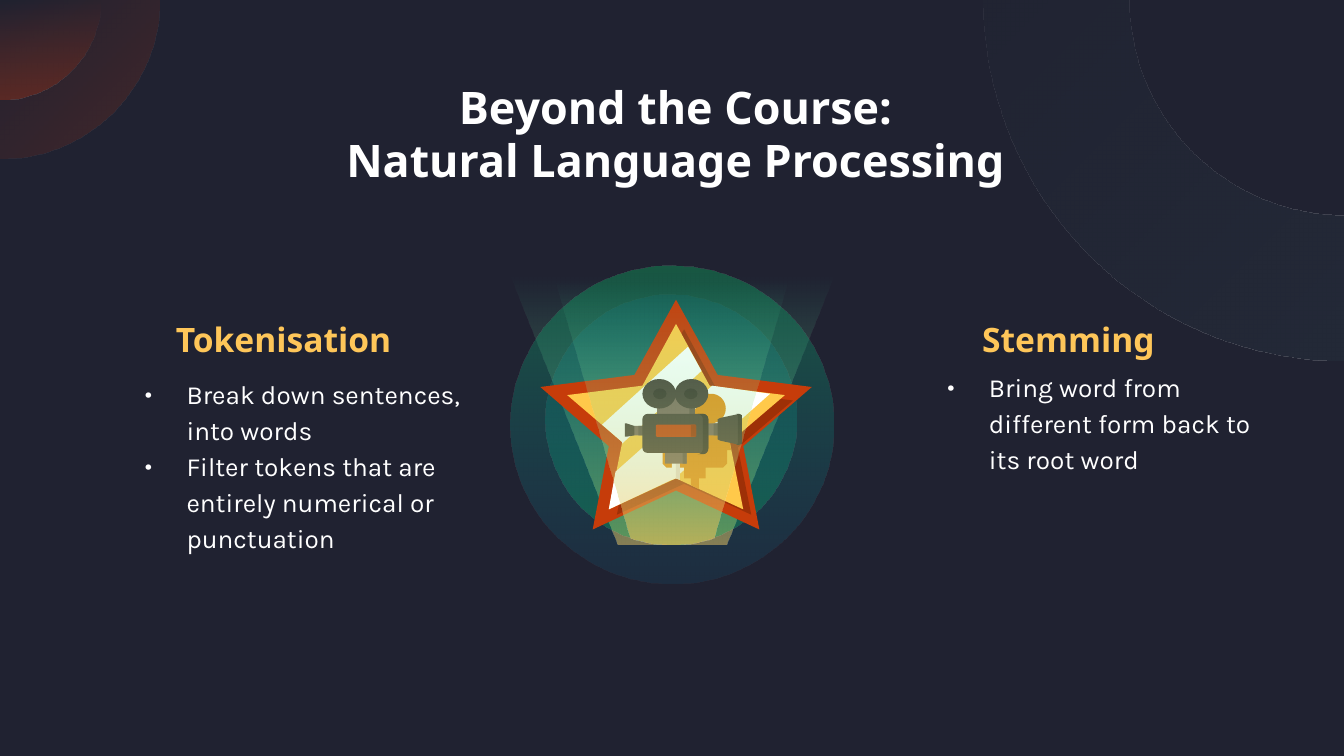
from dataclasses import dataclass
from math import cos, radians, sin

from lxml import etree
from pptx import Presentation
from pptx.dml.color import RGBColor
from pptx.enum.shapes import MSO_SHAPE
from pptx.enum.text import MSO_ANCHOR, PP_ALIGN
from pptx.oxml.ns import qn
from pptx.util import Inches, Pt

OVAL = MSO_SHAPE.OVAL
RECTANGLE = MSO_SHAPE.RECTANGLE
ROUNDED = MSO_SHAPE.ROUNDED_RECTANGLE
TOP = MSO_ANCHOR.TOP
CENTER = PP_ALIGN.CENTER
LEFT = PP_ALIGN.LEFT
WIDTH = Inches(10)
HEIGHT = WIDTH * 9 // 16
COLUMNS = 1000
ROWS = COLUMNS * 9 / 16


@dataclass(frozen=True)
class Theme:
    background: str = "202231"
    white: str = "FFFFFF"
    accent: str = "FEC659"
    ember: str = "9C3218"
    slate: str = "252C3A"
    mint: str = "4AFFC3"
    green: str = "0AC668"
    blue: str = "0A94C6"
    red: str = "C63C0A"
    rust: str = "9E3007"
    gold: str = "FFC94A"
    amber: str = "E68C14"
    pearl: str = "EBE2DF"
    taupe: str = "7A655E"
    taupe_shade: str = "63534D"
    brown: str = "473B37"
    brown_shade: str = "362C29"
    heading_font: str = "Noto Sans"
    body_font: str = "Karla"
    title_size: int = 24
    heading_size: int = 18
    body_size: int = 14


THEME = Theme()


@dataclass(frozen=True)
class Box:
    left: float
    top: float
    width: float
    height: float

    def inside(self, left, top, width, height):
        return Box(self.left + left, self.top + top, width, height)

    def point(self, column, row):
        return (round((self.left + column) * WIDTH / COLUMNS),
                round((self.top + row) * HEIGHT / ROWS))

    def frame(self):
        left, top = self.point(0, 0)
        right, bottom = self.point(self.width, self.height)
        return left, top, right - left, bottom - top


def color(value):
    return RGBColor.from_string(value)


def paint(shape, fill):
    shape.shadow.inherit = False
    shape.line.fill.background()
    if isinstance(fill, str):
        shape.fill.solid()
        shape.fill.fore_color.rgb = color(fill)
        return
    stops, angle = fill
    shape.fill.gradient()
    shape.fill.gradient_angle = angle
    for stop, (value, _) in zip(shape.fill.gradient_stops, stops):
        stop.color.rgb = color(value)
    gradient = shape.element.spPr.find(qn("a:gradFill"))
    for element, (_, opacity) in zip(gradient.iter(qn("a:srgbClr")), stops):
        etree.SubElement(element, qn("a:alpha")).set("val", str(opacity * 1000))


def arc(x, y, radius, start, end, steps=32):
    angles = [radians(start + (end - start) * step / steps) for step in range(steps + 1)]
    return [(x + radius * cos(angle), y + radius * sin(angle)) for angle in angles]


def add_outline(slide, box, points, fill):
    corners = [box.point(*point) for point in points]
    builder = slide.shapes.build_freeform(*corners[0], scale=1.0)
    builder.add_line_segments(corners[1:], close=True)
    paint(builder.convert_to_shape(), fill)


def add_preset(slide, box, preset, fill):
    shape = slide.shapes.add_shape(preset, *box.frame())
    if preset == ROUNDED:
        shape.adjustments[0] = 0.13
    paint(shape, fill)


def draw_corner_disc(slide, box, opacity, angle):
    points = [(0, 0)] + arc(0, 0, box.width, 0, 90)
    add_outline(slide, box, points, (((THEME.ember, opacity), (THEME.ember, 0)), angle))


def draw_corner_ring(slide, box, inner_radius):
    points = arc(box.width, 0, box.width, 180, 90) + arc(box.width, 0, inner_radius, 90, 180)
    add_outline(slide, box, points, (((THEME.slate, 75), (THEME.slate, 20)), 135))


def draw_star(slide, box):
    def mirrored(half):
        return half + [(202 - x, y) for x, y in reversed(half[1:-1])]

    rim = mirrored([(101, 0), (70, 56), (0, 65), (51, 109), (39, 171), (101, 142)])
    face = mirrored([(101, 18), (76, 64), (20, 71), (61, 106), (51, 156), (101, 133)])
    narrow_glare = [(110, 35), (46, 93), (61, 106), (61, 107), (120, 53)]
    wide_glare = [(128, 64), (56, 128), (51, 156), (100, 133), (171, 70)]
    add_outline(slide, box, rim, THEME.red)
    add_outline(slide, box.inside(6, 4, box.width, box.height), face, THEME.rust)
    add_outline(slide, box, face, THEME.gold)
    for glare in (narrow_glare, wide_glare):
        add_outline(slide, box, glare, THEME.white)


def draw_camera(slide, box):
    shadow = arc(103, 81, 11, 100, 360) + arc(127, 81, 11, 180, 440) + [
        (129, 96), (136, 96), (139, 99), (139, 103), (145, 103), (141, 106), (142, 112),
        (139, 112), (139, 122), (136, 125), (123, 125), (123, 133), (118, 133), (118, 141),
        (112, 138), (112, 133), (107, 133), (107, 125), (94, 125), (91, 122), (91, 113),
        (85, 112), (77, 113), (77, 103), (85, 104), (91, 104), (91, 99), (94, 96), (101, 96)]
    parts = [
        ([(151, 98), (148, 98), (146, 100), (146, 102)], THEME.amber),
        (shadow, THEME.amber),
        ([(98, 120), (98, 134), (101, 133), (104, 134), (104, 120)], THEME.white),
        ([(101, 120), (101, 133), (104, 134), (104, 120)], THEME.pearl),
        ((RECTANGLE, 93, 113, 16, 9), THEME.taupe),
        ((RECTANGLE, 106, 113, 3, 9), THEME.taupe_shade),
        ((RECTANGLE, 123, 92, 12, 9), THEME.taupe),
        ((RECTANGLE, 129, 92, 6, 9), THEME.taupe_shade),
        ((RECTANGLE, 68, 94, 12, 7), THEME.taupe),
        ([(63, 92), (64, 92), (70, 94), (70, 101), (64, 102), (63, 102)], THEME.brown),
        ((RECTANGLE, 73, 94, 7, 7), THEME.taupe_shade),
        ([(132, 89), (134, 88), (148, 85), (150, 86), (150, 107), (148, 108), (134, 105),
          (132, 104)], THEME.brown),
        ([(146, 85), (148, 85), (150, 86), (150, 107), (148, 108), (146, 108), (147, 107),
          (147, 86)], THEME.brown_shade),
        ((RECTANGLE, 87, 71, 28, 16), THEME.taupe),
        ((RECTANGLE, 111, 71, 4, 14), THEME.taupe_shade),
        ((ROUNDED, 76, 85, 49, 29), THEME.brown),
        (arc(117, 89, 4, -90, 0) + arc(117, 111, 4, 0, 90) + arc(121, 111, 4, 90, 0)
         + arc(121, 89, 4, 0, -90), THEME.brown_shade),
        ((OVAL, 76, 59, 25, 22), THEME.brown),
        ((OVAL, 100, 59, 25, 22), THEME.brown),
        ((OVAL, 84, 66, 10, 8), THEME.brown_shade),
        ((OVAL, 107, 66, 10, 8), THEME.brown_shade),
        ((ROUNDED, 86, 93, 30, 9), THEME.red),
        ((RECTANGLE, 112, 93, 4, 9), THEME.rust),
    ]
    for part, fill in parts:
        if isinstance(part, list):
            add_outline(slide, box, part, fill)
        else:
            add_preset(slide, box.inside(*part[1:]), part[0], fill)


def draw_medal(slide, box):
    light = (((THEME.accent, 55), (THEME.mint, 0)), 90)
    glow = ((THEME.green, 33), (THEME.blue, 10))
    add_outline(slide, box, [(0, 7), (80, 207), (160, 207), (240, 7)], light)
    add_preset(slide, box, OVAL, (glow, 270))
    add_preset(slide, box.inside(26, 21, 187, 186), OVAL, (glow, 90))
    icon = box.inside(22, 25, 202, 172)
    draw_star(slide, icon)
    draw_camera(slide, icon)
    front_beam = [(33, 11)] + arc(120, 114, 93, 109.5, 70.5) + [(206, 11)]
    add_outline(slide, box, front_beam, light)


def add_bullet(paragraph):
    properties = paragraph._p.get_or_add_pPr()
    properties.set("marL", str(Inches(0.31)))
    properties.set("indent", str(-Inches(0.31)))
    bullet_color = etree.SubElement(properties, qn("a:buClr"))
    etree.SubElement(bullet_color, qn("a:srgbClr")).set("val", THEME.white)
    etree.SubElement(properties, qn("a:buSzPts")).set("val", str(THEME.body_size * 100))
    etree.SubElement(properties, qn("a:buFont")).set("typeface", THEME.body_font)
    etree.SubElement(properties, qn("a:buChar")).set("char", "•")


def add_text(slide, box, paragraphs, size, ink, heading=True, spacing=1.15):
    frame = slide.shapes.add_textbox(*box.frame()).text_frame
    frame.word_wrap = True
    frame.vertical_anchor = TOP
    frame.margin_left = frame.margin_right = Inches(0.1)
    frame.margin_top = frame.margin_bottom = Inches(0.1)
    for index, lines in enumerate(paragraphs):
        paragraph = frame.add_paragraph() if index else frame.paragraphs[0]
        paragraph.alignment = CENTER if heading else LEFT
        paragraph.line_spacing = spacing
        if not heading:
            add_bullet(paragraph)
        paragraph.font.size = Pt(size)
        for number, line in enumerate(lines):
            if number:
                paragraph.add_line_break()
            run = paragraph.add_run()
            run.text = line
            run.font.name = THEME.heading_font if heading else THEME.body_font
            run.font.size = Pt(size)
            run.font.bold = heading
            run.font.color.rgb = color(ink)


def draw_topic(slide, heading_box, body_box, heading, bullets):
    add_text(slide, heading_box, [[heading]], THEME.heading_size, THEME.accent)
    add_text(slide, body_box, [[bullet] for bullet in bullets],
             THEME.body_size, THEME.white, heading=False)


def main():
    presentation = Presentation()
    presentation.slide_width, presentation.slide_height = WIDTH, HEIGHT
    slide = presentation.slides.add_slide(presentation.slide_layouts[6])
    slide.background.fill.solid()
    slide.background.fill.fore_color.rgb = color(THEME.background)
    draw_corner_disc(slide, Box(0.5, 0, 118, 118), 30, 135)
    draw_corner_disc(slide, Box(0.5, 0, 74, 74), 42, 90)
    draw_corner_ring(slide, Box(732, 0, 268, 268), 160)
    add_text(slide, Box(79, 49, 847, 63),
             [["Beyond the Course:", "Natural Language Processing"]],
             THEME.title_size, THEME.white, spacing=1.0)
    draw_topic(slide, Box(79, 223, 264, 63), Box(98, 268, 264, 145), "Tokenisation",
               ["Break down sentences, into words",
                "Filter tokens that are entirely numerical or punctuation"])
    draw_topic(slide, Box(663, 223, 264, 63), Box(695, 263, 264, 145), "Stemming",
               ["Bring word from different form back to its root word"])
    draw_medal(slide, Box(380, 198, 240, 236))
    presentation.save("out.pptx")


if __name__ == "__main__":
    main()
